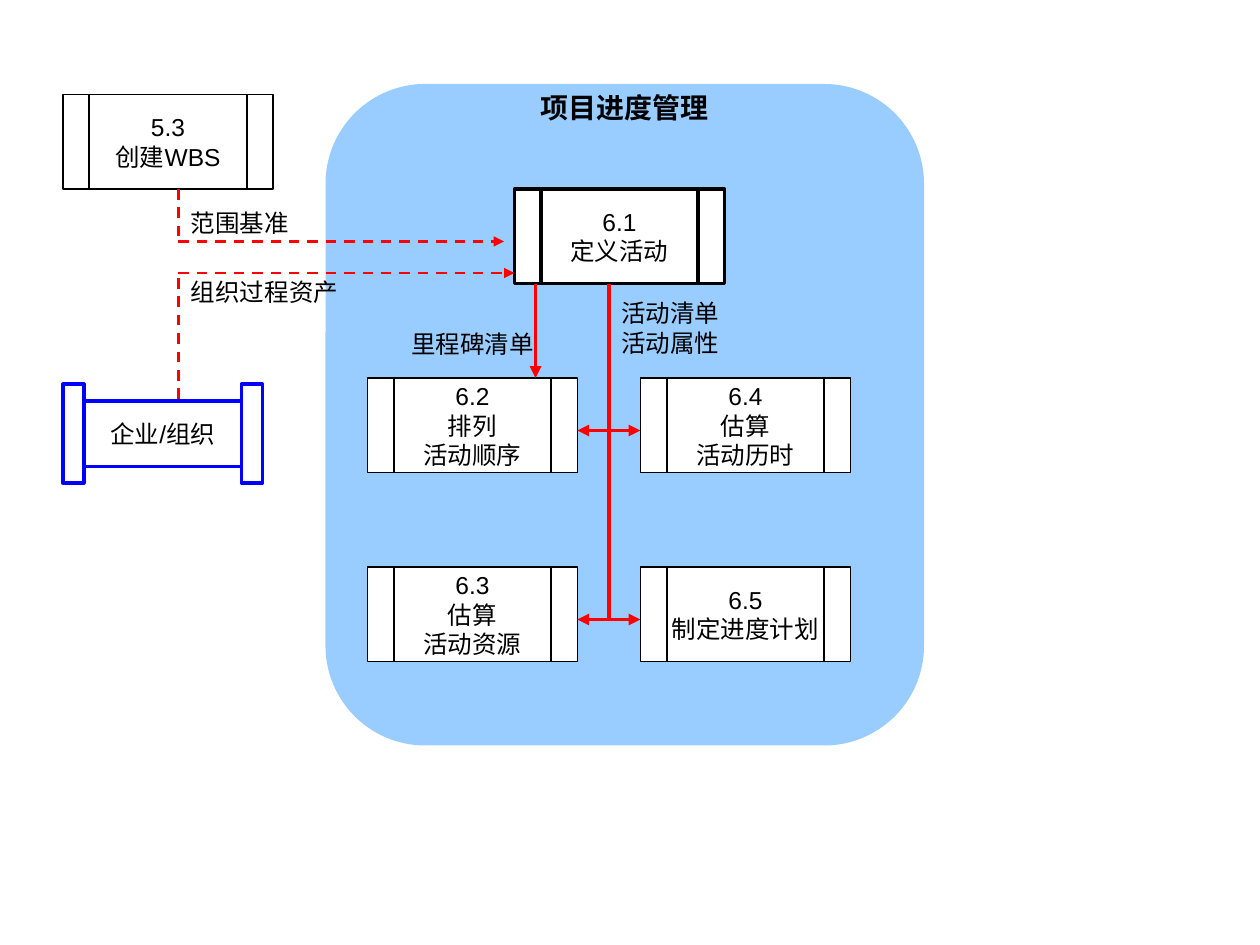
import pptx
import pptx.util
import pptx.dml.color
import pptx.enum.dml
import pptx.enum.shapes
import pptx.enum.text
from lxml import etree

Pt = pptx.util.Pt
Kind = pptx.enum.shapes.MSO_SHAPE
Align = pptx.enum.text.PP_ALIGN
Anchor = pptx.enum.text.MSO_ANCHOR
Fit = pptx.enum.text.MSO_AUTO_SIZE
NS = "{http://schemas.openxmlformats.org/drawingml/2006/main}"
COLORS = {"panel": "99CCFF", "box": "FFFFFF", "edge": "000000",
          "org": "0000FF", "flow": "FF0000", "text": "000000"}
COLORS = {name: pptx.dml.color.RGBColor.from_string(code)
          for name, code in COLORS.items()}

deck = pptx.Presentation()
deck.slide_width, deck.slide_height = Pt(720), Pt(540)
slide = deck.slides.add_slide(deck.slide_layouts[5])


def write(frame, lines, size=14, align=Align.CENTER):
    frame.text = "\n".join(lines)
    for para in frame.paragraphs:
        para.alignment = align
        para.font.size = Pt(size)
        para.font.name = "Arial"
        para.font.color.rgb = COLORS["text"]


def add_box(shapes, kind, place, lines, edge, width):
    box = shapes.add_shape(kind, *map(Pt, place))
    box.shadow.inherit = False
    box.fill.solid()
    box.fill.fore_color.rgb = COLORS["box"]
    box.line.color.rgb = COLORS[edge]
    box.line.width = Pt(width)
    if lines:
        box.text_frame.word_wrap = False
        box.text_frame.vertical_anchor = Anchor.MIDDLE
        write(box.text_frame, lines)


# Panel
panel = slide.shapes.add_shape(Kind.ROUNDED_RECTANGLE, Pt(186), Pt(48), Pt(342), Pt(378))
panel.shadow.inherit = False
panel.fill.solid()
panel.fill.fore_color.rgb = COLORS["panel"]
panel.line.fill.background()

# Title, in front of the panel
title = slide.shapes.title
title.left, title.top, title.width, title.height = Pt(276), Pt(48), Pt(162), Pt(27)
frame = title.text_frame
frame.auto_size = Fit.NONE
frame.word_wrap = True
frame.vertical_anchor = Anchor.TOP
write(frame, ["项目进度管理"], 16)
frame.paragraphs[0].font.bold = True
panel._element.addnext(title._element)

# Processes
steps = [
    (36, 54, 1, ["5.3", "创建WBS"]),
    (294, 108, 2, ["6.1", "定义活动"]),
    (210, 216, 1, ["6.2", "排列", "活动顺序"]),
    (366, 216, 1, ["6.4", "估算", "活动历时"]),
    (210, 324, 1, ["6.3", "估算", "活动资源"]),
    (366, 324, 1, ["6.5", "制定进度计划"]),
]
for left, top, width, lines in steps:
    add_box(slide.shapes, Kind.FLOWCHART_PREDEFINED_PROCESS,
            (left, top, 120, 54), lines, "edge", width)

# Organization
group = slide.shapes.add_group_shape()
add_box(group.shapes, Kind.RECTANGLE, (48, 229, 90, 37.5), ["企业/组织"], "org", 2)
for left in (36, 138):
    add_box(group.shapes, Kind.RECTANGLE, (left, 219.6, 12, 56.4), [], "org", 2)

# Flows: start, end, dashed, arrowheads
flows = [
    ((102, 228), (102, 156), True, []),
    ((102, 156), (294, 156), True, ["tailEnd"]),
    ((102, 108), (102, 138), True, []),
    ((102, 138), (288, 138), True, ["tailEnd"]),
    ((348, 162), (348, 354), False, []),
    ((330, 354), (366, 354), False, ["headEnd", "tailEnd"]),
    ((330, 246), (366, 246), False, ["headEnd", "tailEnd"]),
    ((306, 162), (306, 216), False, ["tailEnd"]),
]
for start, end, dashed, heads in flows:
    flow = slide.shapes.add_connector(pptx.enum.shapes.MSO_CONNECTOR.STRAIGHT,
                                      *map(Pt, start + end))
    flow.line.color.rgb = COLORS["flow"]
    flow.line.width = Pt(1.5 if dashed else 2.25)
    if dashed:
        flow.line.dash_style = pptx.enum.dml.MSO_LINE.DASH
    props = flow._element.spPr
    for head in heads:
        etree.SubElement(props.find(NS + "ln"), NS + head, type="triangle")
    etree.SubElement(props, NS + "effectLst")

# Flow labels
labels = [
    (102, 122.4, 162, 16, ["范围基准"]),
    (102, 162, 108, 16, ["组织过程资产"]),
    (228, 192, 108, 16, ["里程碑清单"]),
    (348, 174, 108, 33, ["活动清单", "活动属性"]),
]
for left, top, width, height, lines in labels:
    label = slide.shapes.add_textbox(Pt(left), Pt(top), Pt(width), Pt(height))
    frame = label.text_frame
    frame.word_wrap = True
    write(frame, lines, align=Align.LEFT)
    for para in frame.paragraphs:
        para.line_spacing = 0.5
    for para in frame.paragraphs[1:]:
        para.space_before = Pt(8.8)

deck.save("out.pptx")
